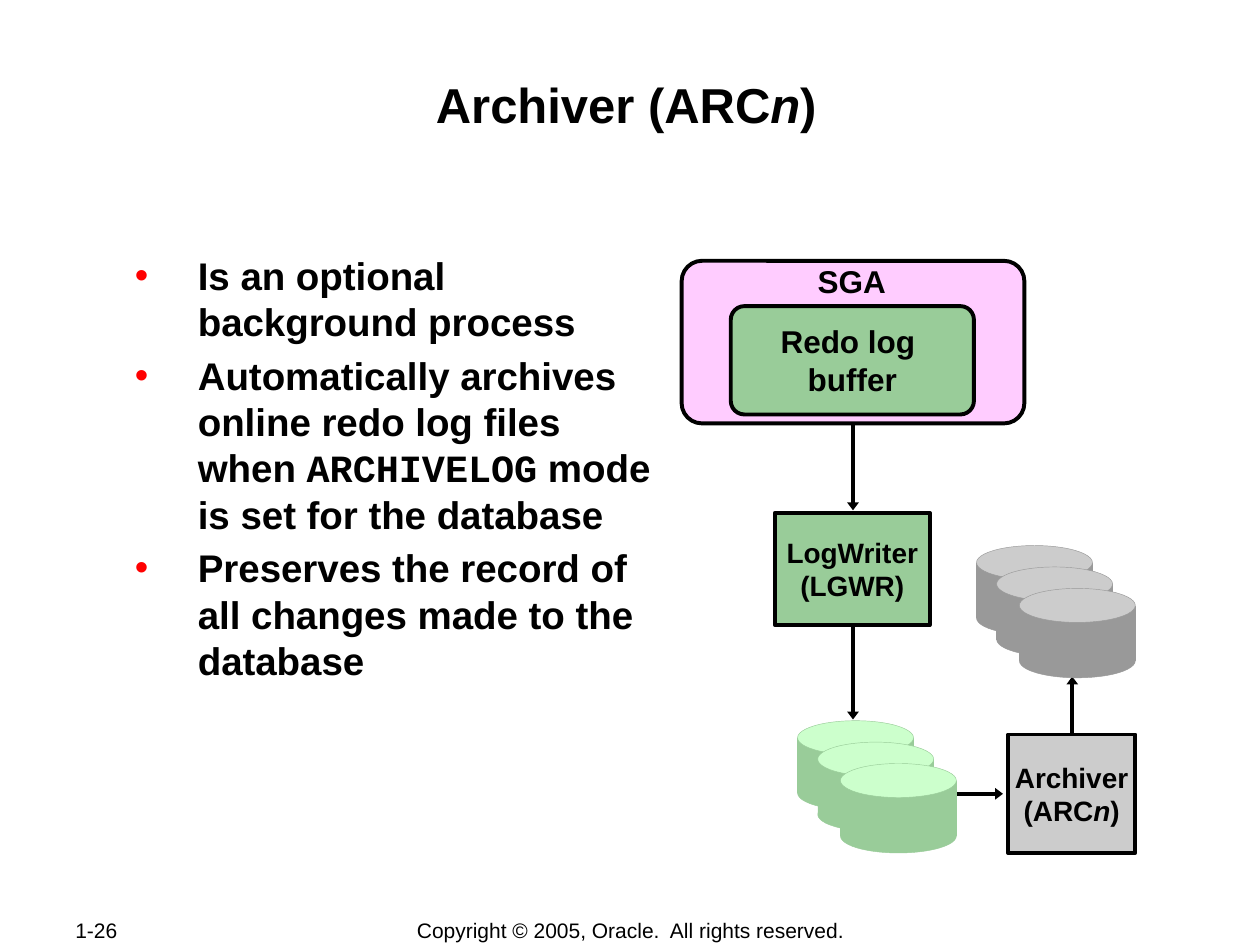
from pptx import Presentation
from pptx.dml.color import RGBColor
from pptx.enum.shapes import MSO_CONNECTOR, MSO_SHAPE
from pptx.enum.text import MSO_ANCHOR, PP_ALIGN
from pptx.oxml.ns import qn
from pptx.util import Inches, Pt
from lxml.etree import SubElement

COLORS = {
    "black": "000000", "red": "FF0000", "pink": "FFCCFF",
    "green": "99CC99", "light green": "CCFFCC",
    "gray": "999999", "light gray": "CCCCCC",
}


def write_text(shape, paragraphs, size=16, bold=True, align=PP_ALIGN.CENTER,
               anchor=MSO_ANCHOR.MIDDLE, margins=(0.1, 0.05), wrap=False,
               bullet=None, space_before=0):
    """Each paragraph is a list of (text, style); style is "", "italic" or "code"."""
    frame = shape.text_frame
    frame.word_wrap = wrap
    frame.vertical_anchor = anchor
    frame.margin_left = frame.margin_right = Inches(margins[0])
    frame.margin_top = frame.margin_bottom = Inches(margins[1])
    for index, runs in enumerate(paragraphs):
        paragraph = frame.add_paragraph() if index else frame.paragraphs[0]
        paragraph.alignment = align
        paragraph.space_before = Pt(space_before if index else 0)
        if bullet:
            properties = paragraph._p.get_or_add_pPr()
            properties.set("marL", str(Inches(0.62)))
            properties.set("indent", str(Inches(-0.5)))
            bullet_color = SubElement(properties, qn("a:buClr"))
            SubElement(bullet_color, qn("a:srgbClr"), val=COLORS["red"])
            SubElement(properties, qn("a:buFont"), typeface="Arial")
            SubElement(properties, qn("a:buChar"), char=bullet)
        for text, style in runs:
            run = paragraph.add_run()
            run.text = text
            run.font.name = "Courier New" if style == "code" else "Arial"
            run.font.size = Pt(size)
            run.font.bold = bold
            run.font.italic = style == "italic"
            run.font.color.rgb = RGBColor.from_string(COLORS["black"])


def add_shape(kind, left, top, width, height, fill, line="black", line_width=2.25):
    shape = slide.shapes.add_shape(
        kind, Inches(left), Inches(top), Inches(width), Inches(height))
    shape.shadow.inherit = False
    shape.fill.solid()
    shape.fill.fore_color.rgb = RGBColor.from_string(COLORS[fill])
    shape.line.color.rgb = RGBColor.from_string(COLORS[line])
    shape.line.width = Pt(line_width)
    if kind == MSO_SHAPE.ROUNDED_RECTANGLE:
        shape.adjustments[0] = 0.125
    return shape


presentation = Presentation()
presentation.slide_width, presentation.slide_height = Inches(10), Inches(7.5)
slide = presentation.slides.add_slide(presentation.slide_layouts[5])

# Title
title = slide.shapes.title
title.left, title.top = Inches(0.97), Inches(0.58)
title.width, title.height = Inches(8), Inches(0.96)
write_text(title, [[("Archiver (ARC", ""), ("n", "italic"), (")", "")]],
           size=28, anchor=MSO_ANCHOR.TOP, margins=(0.01, 0.01), wrap=True)

# Bullet list
body = slide.shapes.add_textbox(Inches(0.94), Inches(1.99), Inches(4.35), Inches(3.47))
write_text(body, [
    [("Is an optional background process", "")],
    [("Automatically archives online redo log files when ", ""),
     ("ARCHIVELOG", "code"), (" mode is set for the database", "")],
    [("Preserves the record of all changes made to the database", "")],
], size=22, align=PP_ALIGN.LEFT, anchor=MSO_ANCHOR.TOP, margins=(0.01, 0.01),
    wrap=True, bullet="•", space_before=4.4)

# Arrows
for x1, y1, x2, y2 in [
    (6.77, 3.3, 6.77, 4.05),    # SGA to LogWriter
    (6.77, 4.96, 6.77, 5.71),   # LogWriter to redo log files
    (7.46, 6.3, 7.96, 6.3),     # redo log files to Archiver
    (8.51, 5.87, 8.51, 5.37),   # Archiver to archived files
]:
    arrow = slide.shapes.add_connector(
        MSO_CONNECTOR.STRAIGHT, Inches(x1), Inches(y1), Inches(x2), Inches(y2))
    arrow.line.color.rgb = RGBColor.from_string(COLORS["black"])
    arrow.line.width = Pt(2.25)
    SubElement(arrow.line._get_or_add_ln(), qn("a:tailEnd"),
               type="triangle", w="med", len="sm")
    SubElement(arrow._element.spPr, qn("a:effectLst"))

# Stacks of disks: archived files, then redo log files
for left, top, side, lid in [(7.75, 4.33, "gray", "light gray"),
                             (6.33, 5.72, "green", "light green")]:
    for dx, dy in [(0, 0), (0.16, 0.17), (0.34, 0.34)]:
        x, y = left + dx, top + dy
        for kind, offset, height, fill in [
            (MSO_SHAPE.RECTANGLE, 0.14, 0.43, side),
            (MSO_SHAPE.OVAL, 0, 0.27, lid),
            (MSO_SHAPE.OVAL, 0.44, 0.27, side),
        ]:
            add_shape(kind, x, y + offset, 0.92, height, fill, side, 0.25)

# Process boxes
log_writer = add_shape(MSO_SHAPE.RECTANGLE, 6.15, 4.07, 1.23, 0.89, "green")
write_text(log_writer, [[("LogWriter", "")], [("(LGWR)", "")]], margins=(0.05, 0.05))
archiver = add_shape(MSO_SHAPE.RECTANGLE, 8, 5.83, 1.01, 0.94, "light gray")
write_text(archiver, [[("Archiver", "")], [("(ARC", ""), ("n", "italic"), (")", "")]],
           margins=(0.05, 0.05))

# SGA with the redo log buffer
add_shape(MSO_SHAPE.ROUNDED_RECTANGLE, 5.41, 2.07, 2.72, 1.29, "pink")
redo_buffer = add_shape(MSO_SHAPE.ROUNDED_RECTANGLE, 5.8, 2.43, 1.93, 0.86, "green")
write_text(redo_buffer, [[("Redo log ", "")], [("buffer", "")]], size=18)
sga_label = slide.shapes.add_textbox(Inches(6.39), Inches(2.03), Inches(0.74), Inches(0.4))
write_text(sga_label, [[("SGA", "")]], size=18, anchor=MSO_ANCHOR.TOP)

# Footer
copyright_line = slide.shapes.add_textbox(
    Inches(2.76), Inches(7.28), Inches(4.49), Inches(0.21))
write_text(copyright_line, [[("Copyright © 2005, Oracle.  All rights reserved.", "")]],
           size=12, bold=False)
page_number = slide.shapes.add_textbox(Inches(0.5), Inches(7.28), Inches(1.06), Inches(0.2))
write_text(page_number, [[("1-26", "")]], size=12, bold=False,
           align=PP_ALIGN.LEFT, wrap=True)

presentation.save("out.pptx")
